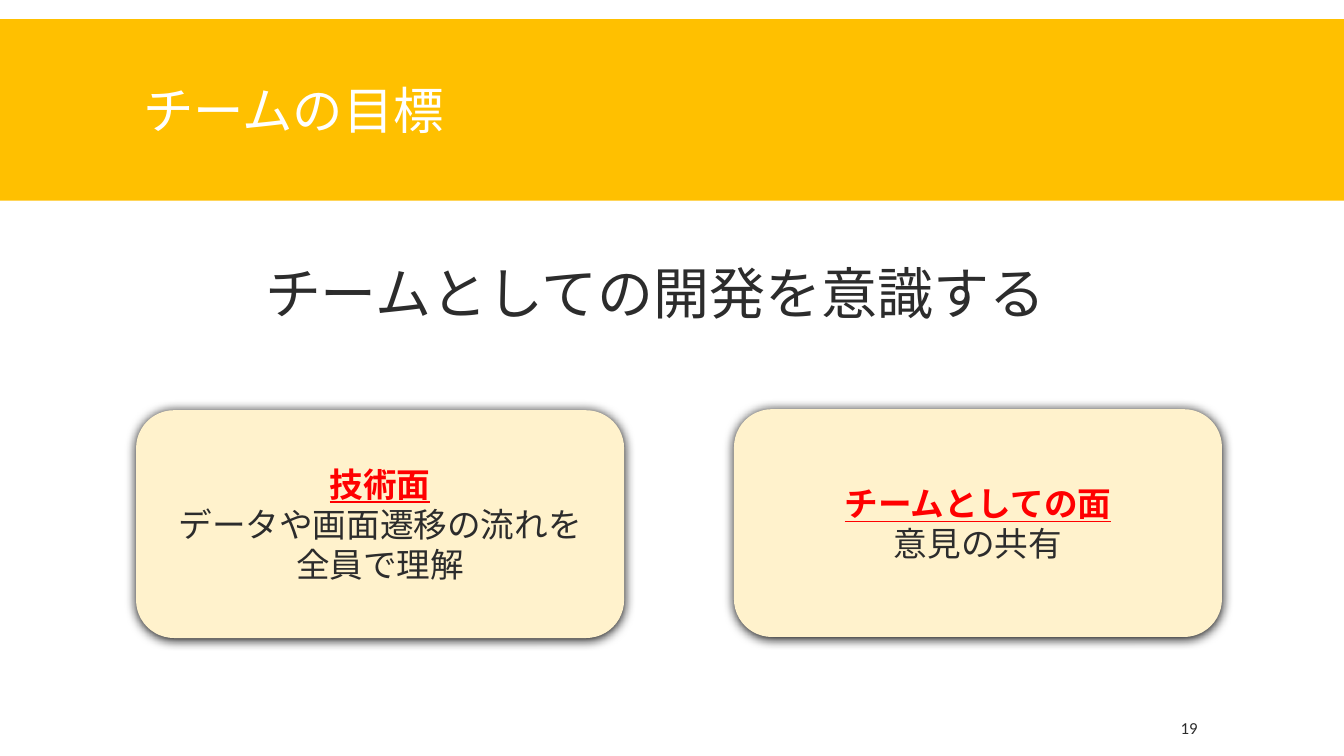
from lxml import etree
from pptx import Presentation
from pptx import util as u
from pptx.dml.color import RGBColor
from pptx.enum import lang, shapes, text
from pptx.oxml import ns

WIDTH, HEIGHT = u.Inches(13.33), u.Inches(7.5)
COLORS = {
    "band": "FFC000",
    "card": "FFF2CC",
    "heading": "FF0000",
    "body": "2C2C2C",
    "title": "FFFFFF",
    "shadow": "000000",
}
LATIN, JAPANESE = "Calibri", "Noto Sans CJK JP"
CARD_WIDTH, CARD_HEIGHT = 4.84, 2.26


def color(name):
    return RGBColor.from_string(COLORS[name])


def style(paragraph, size, color_name, font_name, bold=False):
    font = paragraph.font
    font.size = u.Pt(size)
    font.name = font_name
    font.bold = bold
    font.underline = bold
    font.color.rgb = color(color_name)
    font.language_id = lang.MSO_LANGUAGE_ID.JAPANESE


def add_block(slide, kind, box, fill):
    """Add a borderless filled shape; box is left, top, width, height in inches."""
    shape = slide.shapes.add_shape(kind, *map(u.Inches, box))
    shape.shadow.inherit = False
    shape.fill.solid()
    shape.fill.fore_color.rgb = color(fill)
    shape.line.fill.background()
    return shape


def add_shadow(shape):
    effects = shape.element.spPr.find(ns.qn("a:effectLst"))
    shadow = etree.SubElement(
        effects, ns.qn("a:outerShdw"), blurRad=str(u.Pt(8.5)),
        dist=str(u.Pt(1)), dir=str(90 * 60000), algn="t", rotWithShape="0")
    etree.SubElement(shadow, ns.qn("a:srgbClr"), val=COLORS["shadow"])


def add_title(slide, wording):
    title = slide.shapes.title
    band = add_block(slide, shapes.MSO_SHAPE.RECTANGLE,
                     (0, 0.19, 13.33, 1.8), "band")
    title.element.addprevious(band.element)
    title.left, title.top = u.Inches(1.32), u.Inches(0.31)
    title.width, title.height = u.Inches(10.7), u.Inches(1.65)
    frame = title.text_frame
    frame.text = wording
    frame.vertical_anchor = text.MSO_ANCHOR.MIDDLE
    paragraph = frame.paragraphs[0]
    paragraph.alignment = text.PP_ALIGN.LEFT
    paragraph.line_spacing = 0.85
    style(paragraph, 36, "title", LATIN)


def add_text(slide, wording, box, size):
    frame = slide.shapes.add_textbox(*map(u.Inches, box)).text_frame
    frame.word_wrap = True
    frame.text = wording
    style(frame.paragraphs[0], size, "body", LATIN)
    return frame


def add_card(slide, left, top, heading, lines):
    card = add_block(slide, shapes.MSO_SHAPE.ROUNDED_RECTANGLE,
                     (left, top, CARD_WIDTH, CARD_HEIGHT), "card")
    add_shadow(card)
    frame = card.text_frame
    frame.vertical_anchor = text.MSO_ANCHOR.MIDDLE
    frame.text = "\n".join([heading, *lines])
    for index, paragraph in enumerate(frame.paragraphs):
        paragraph.alignment = text.PP_ALIGN.CENTER
        is_heading = index == 0
        style(paragraph, 24, "heading" if is_heading else "body",
              JAPANESE, bold=is_heading)


def main():
    presentation = Presentation()
    presentation.slide_width, presentation.slide_height = WIDTH, HEIGHT
    slide = presentation.slides.add_slide(presentation.slide_layouts[5])

    add_title(slide, "チームの目標")
    message = add_text(slide, "チームとしての開発を意識する",
                       (2.53, 2.59, 8.28, 0.9), 40)
    message.paragraphs[0].line_spacing = 0.9

    page_number = add_text(slide, "19", (11.66, 7.02, 1.03, 0.4), 12)
    page_number.vertical_anchor = text.MSO_ANCHOR.MIDDLE
    page_number.margin_left = u.Inches(0.05)

    add_card(slide, 1.35, 4.07, "技術面",
             ["データや画面遷移の流れを", "全員で理解"])
    add_card(slide, 7.28, 4.06, "チームとしての面", ["意見の共有"])

    presentation.save("out.pptx")


if __name__ == "__main__":
    main()
